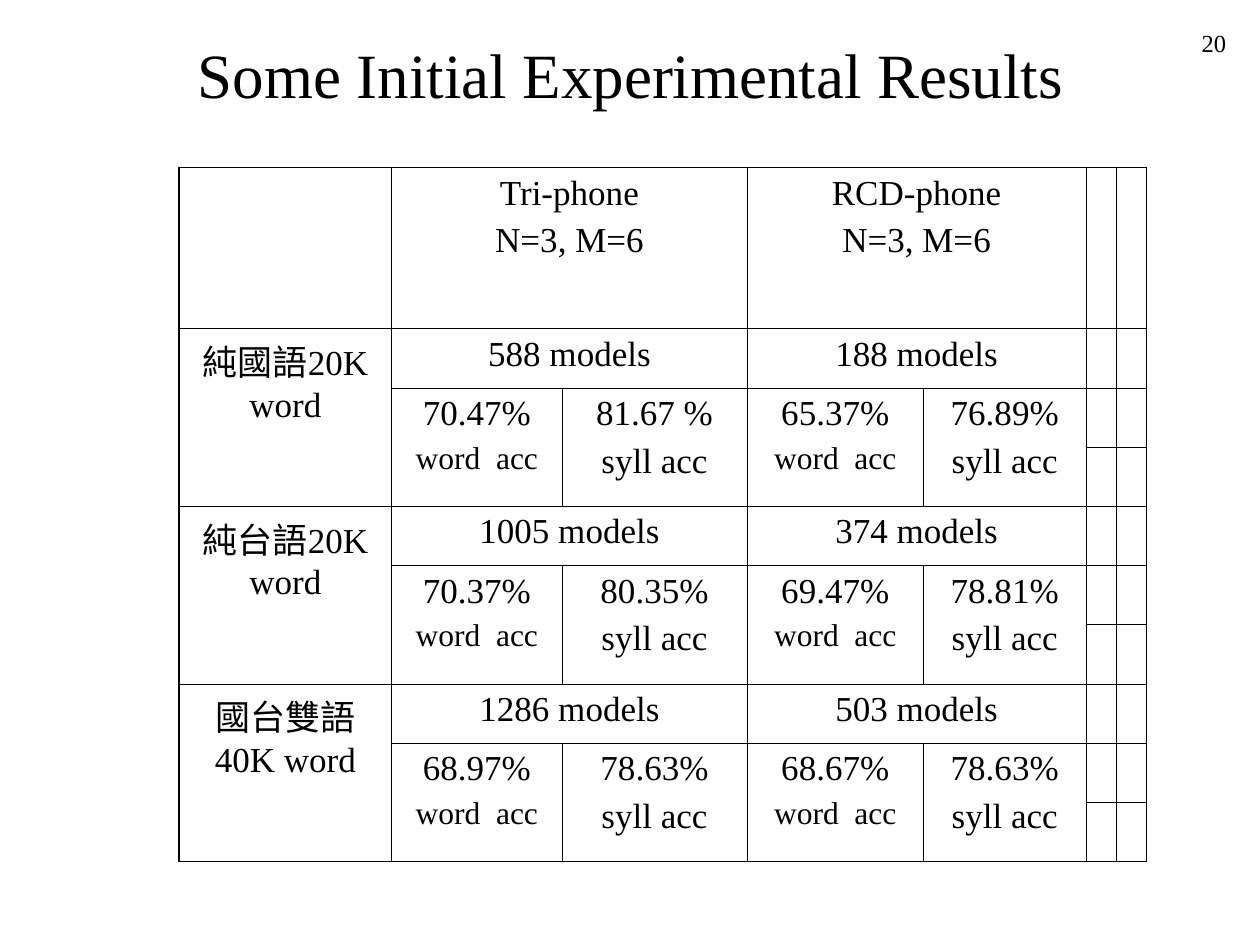
from dataclasses import dataclass

from lxml.etree import SubElement
from pptx import Presentation
from pptx.dml.color import RGBColor
from pptx.enum.text import MSO_ANCHOR as Anchor, PP_ALIGN as Align
from pptx.oxml.ns import qn
from pptx.util import Inches, Pt


@dataclass(frozen=True)
class Theme:
    font: str = "Times New Roman"
    ink: str = "000000"
    title: float = 36
    body: float = 20
    small: float = 18
    number: float = 14
    outer_line: float = 1.08
    inner_line: float = 0.45


THEME = Theme()
COLUMN_WIDTHS = (1.69, 1.35, 1.47, 1.4, 1.29, 0.24, 0.24)
HEADER_HEIGHT = 1.28
ROW_HEIGHT = 0.47
ROWS_PER_GROUP = 3
HEADERS = ("Tri-phone", "RCD-phone")
GROUPS = (
    ("純國語20K word", ("588 models", "188 models"),
     ("70.47%", "81.67 %", "65.37%", "76.89%")),
    ("純台語20K word", ("1005 models", "374 models"),
     ("70.37%", "80.35%", "69.47%", "78.81%")),
    ("國台雙語40K word", ("1286 models", "503 models"),
     ("68.97%", "78.63%", "68.67%", "78.63%")),
)
MEASURES = (("word  acc", THEME.small), ("syll acc", THEME.body))


def style_paragraph(paragraph, text, size, align):
    paragraph.text = text
    paragraph.alignment = align
    paragraph.font.name = THEME.font
    paragraph.font.size = Pt(size)
    paragraph.font.color.rgb = RGBColor.from_string(THEME.ink)


def add_text(slide, box, text, size, align, anchor):
    shape = slide.shapes.add_textbox(*map(Inches, box))
    frame = shape.text_frame
    frame.word_wrap = True
    frame.vertical_anchor = anchor
    style_paragraph(frame.paragraphs[0], text, size, align)


def write_cell(cell, *lines):
    frame = cell.text_frame
    for index, (text, size) in enumerate(lines):
        paragraph = frame.add_paragraph() if index else frame.paragraphs[0]
        style_paragraph(paragraph, text, size, Align.CENTER)
        paragraph.space_before = Pt(size / 4)


def merge_block(table, row, column, height, width):
    cell = table.cell(row, column)
    cell.merge(table.cell(row + height - 1, column + width - 1))
    return cell


def add_border(cell, side, width):
    properties = cell._tc.get_or_add_tcPr()
    line = SubElement(properties, qn(f"a:{side}"), w=str(Pt(width)))
    fill = SubElement(line, qn("a:solidFill"))
    SubElement(fill, qn("a:srgbClr"), val=THEME.ink)


def draw_grid(table):
    last_row, last_column = len(table.rows), len(table.columns)
    for row in range(last_row):
        for column in range(last_column):
            cell = table.cell(row, column)
            if not cell.is_spanned:
                height = cell.span_height if cell.is_merge_origin else 1
                width = cell.span_width if cell.is_merge_origin else 1
                outer_sides = {
                    "lnL": column == 0,
                    "lnR": column + width == last_column,
                    "lnT": row == 0,
                    "lnB": row + height == last_row,
                }
                for side, outer in outer_sides.items():
                    add_border(cell, side, THEME.outer_line if outer else THEME.inner_line)
            cell.fill.background()


def fill_group(table, row, label, models, scores):
    write_cell(merge_block(table, row, 0, ROWS_PER_GROUP, 1), (label, THEME.body))
    for index, model in enumerate(models):
        write_cell(merge_block(table, row, 1 + 2 * index, 1, 2), (model, THEME.body))
    for index, score in enumerate(scores):
        cell = merge_block(table, row + 1, 1 + index, 2, 1)
        write_cell(cell, (score, THEME.body), MEASURES[index % 2])


def add_results_table(slide):
    heights = [HEADER_HEIGHT] + [ROW_HEIGHT] * (ROWS_PER_GROUP * len(GROUPS))
    table = slide.shapes.add_table(
        len(heights), len(COLUMN_WIDTHS), Inches(1.42), Inches(1.33),
        Inches(sum(COLUMN_WIDTHS)), Inches(sum(heights)),
    ).table
    table.first_row = False
    table.horz_banding = False
    for column, width in zip(table.columns, COLUMN_WIDTHS):
        column.width = Inches(width)
    for row, height in zip(table.rows, heights):
        row.height = Inches(height)
    for index, header in enumerate(HEADERS):
        cell = merge_block(table, 0, 1 + 2 * index, 1, 2)
        write_cell(cell, (header, THEME.body), ("N=3, M=6", THEME.body))
    for index, group in enumerate(GROUPS):
        fill_group(table, 1 + ROWS_PER_GROUP * index, *group)
    draw_grid(table)


def main():
    presentation = Presentation()
    presentation.slide_width = Inches(10)
    presentation.slide_height = Inches(7.5)
    slide = presentation.slides.add_slide(presentation.slide_layouts[6])
    add_text(slide, (0.17, 0.17, 9.67, 0.83), "Some Initial Experimental Results",
             THEME.title, Align.CENTER, Anchor.MIDDLE)
    add_results_table(slide)
    add_text(slide, (7.75, 0.17, 2.08, 0.5), "20",
             THEME.number, Align.RIGHT, Anchor.TOP)
    presentation.save("out.pptx")


if __name__ == "__main__":
    main()
